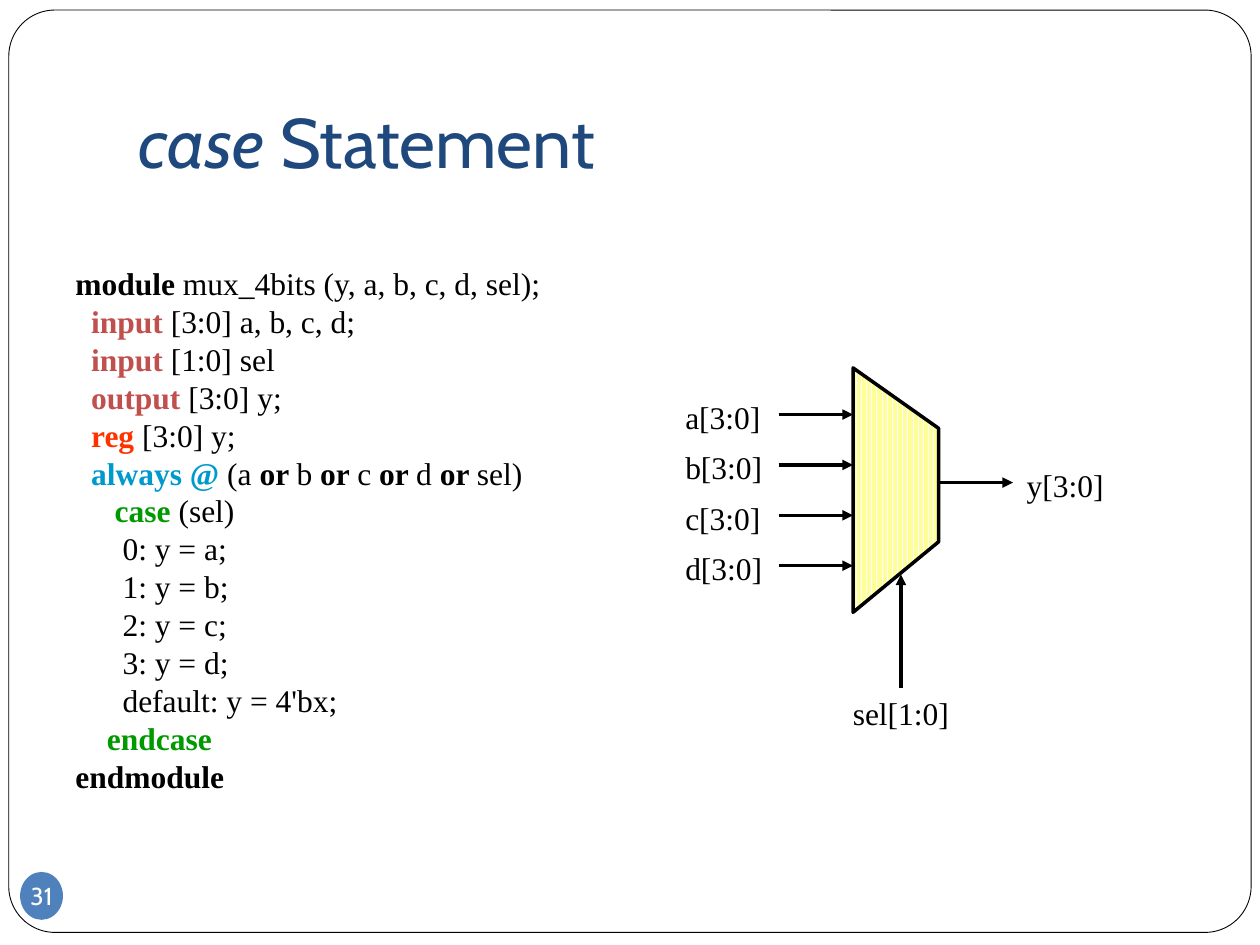
from itertools import groupby

from lxml.etree import SubElement
from pptx import Presentation
from pptx.dml.color import RGBColor
from pptx.enum.dml import MSO_PATTERN
from pptx.enum.shapes import MSO_CONNECTOR, MSO_SHAPE
from pptx.enum.text import MSO_ANCHOR, MSO_AUTO_SIZE, PP_ALIGN
from pptx.oxml.ns import qn
from pptx.util import Inches, Pt

CELL = Inches(0.1)  # the slide is a grid of 100 columns and 75 rows
HEADING_FONT, CODE_FONT = "Cabin", "Times New Roman"
BLACK, WHITE = "000000", "FFFFFF"

KEYWORDS = {
    "module": BLACK, "endmodule": BLACK, "or": BLACK,
    "input": "C0504D", "output": "C0504D", "reg": "FF3300",
    "always": "0099CC", "@": "0099CC",
    "case": "009900", "endcase": "009900",
}
CODE = """\
module mux_4bits (y, a, b, c, d, sel);
  input [3:0] a, b, c, d;
  input [1:0] sel
  output [3:0] y;
  reg [3:0] y;
  always @ (a or b or c or d or sel)
     case (sel)
      0: y = a;
      1: y = b;
      2: y = c;
      3: y = d;
      default: y = 4'bx;
    endcase
endmodule"""


def cells(*counts):
    """Turn counts of grid cells into lengths."""
    return [round(count * CELL) for count in counts]


def color(hex_string):
    return RGBColor.from_string(hex_string)


def style(font, name, size, hex_string, bold=False, italic=False):
    font.name, font.size = name, Pt(size)
    font.bold, font.italic = bold, italic
    font.color.rgb = color(hex_string)


def set_margins(frame, left, top, right, bottom):
    frame.margin_left, frame.margin_top, frame.margin_right, frame.margin_bottom = cells(
        left, top, right, bottom)


def add_frame(slide, box):
    frame = slide.shapes.add_shape(MSO_SHAPE.ROUNDED_RECTANGLE, *cells(*box))
    frame.adjustments[0] = 0.05
    frame.shadow.inherit = False
    frame.fill.solid()
    frame.fill.fore_color.rgb = color(WHITE)
    frame.line.color.rgb = color(BLACK)
    frame.line.width = Pt(0.5)
    slide.shapes.element.insert(2, frame.element)  # behind the title


def add_title(slide, box):
    title = slide.shapes.title
    title.left, title.top, title.width, title.height = cells(*box)
    frame = title.text_frame
    frame.vertical_anchor = MSO_ANCHOR.BOTTOM
    set_margins(frame, 1, 0.5, 1, 1)
    paragraph = frame.paragraphs[0]
    paragraph.alignment = PP_ALIGN.LEFT
    for text, italic in (("case", True), (" Statement", False)):
        run = paragraph.add_run()
        run.text = text
        style(run.font, HEADING_FONT, 40, "1F497D", italic=italic)


def add_page_number(slide, box, number):
    badge = slide.shapes.add_shape(MSO_SHAPE.OVAL, *cells(*box))
    badge.shadow.inherit = False
    badge.fill.solid()
    badge.fill.fore_color.rgb = color("4F81BD")
    badge.line.fill.background()
    frame = badge.text_frame
    frame.text = number
    frame.word_wrap = False
    frame.vertical_anchor = MSO_ANCHOR.MIDDLE
    set_margins(frame, 0, 0, 0, 0)
    frame.paragraphs[0].alignment = PP_ALIGN.CENTER
    style(frame.paragraphs[0].runs[0].font, HEADING_FONT, 14, WHITE)


def add_code(slide, box):
    """Place the listing, one paragraph a line, with bold coloured keywords."""
    frame = slide.shapes.add_textbox(*cells(*box)).text_frame
    frame.word_wrap = True
    set_margins(frame, 1, 3.45, 1, 0.5)
    for index, line in enumerate(CODE.split("\n")):
        paragraph = frame.paragraphs[0] if index == 0 else frame.add_paragraph()
        paragraph.line_spacing = Pt(21.65)
        properties = paragraph._p.get_or_add_pPr()
        properties.set("marL", str(Inches(0.96)))
        properties.set("indent", str(Inches(-0.46)))
        words = line.split(" ")
        pieces = [word + " " for word in words[:-1]] + words[-1:]
        for keyword_color, group in groupby(pieces, lambda piece: KEYWORDS.get(piece.strip())):
            run = paragraph.add_run()
            run.text = "".join(group)
            style(run.font, CODE_FONT, 18, keyword_color or BLACK, bold=keyword_color is not None)


def add_arrow(group, start, end):
    arrow = group.shapes.add_connector(MSO_CONNECTOR.STRAIGHT, *cells(*start, *end))
    arrow.line.color.rgb = color(BLACK)
    arrow.line.width = Pt(2)
    SubElement(arrow.line._get_or_add_ln(), qn("a:tailEnd"), type="triangle")
    SubElement(arrow.element.spPr, qn("a:effectLst"))


def add_label(group, text, left, top, width):
    frame = group.shapes.add_textbox(*cells(left, top, width, 4)).text_frame
    frame.text = text
    frame.word_wrap = False
    frame.auto_size = MSO_AUTO_SIZE.SHAPE_TO_FIT_TEXT
    style(frame.paragraphs[0].runs[0].font, CODE_FONT, 18, BLACK)


def add_multiplexer(slide, box):
    """Draw the body at the box, with its wires and labels around it."""
    left, top, width, height = box
    right, bottom = left + width, top + height
    wire, label_rise = 5.9, 1.8
    group = slide.shapes.add_group_shape()

    corners = [(left, top), (right, top + 4.8), (right, bottom - 5.6), (left, bottom)]
    points = [cells(*corner) for corner in corners]
    builder = group.shapes.build_freeform(*points[0])
    builder.add_line_segments(points[1:], close=True)
    body = builder.convert_to_shape()
    body.shadow.inherit = False
    body.fill.patterned()
    body.fill.pattern = MSO_PATTERN.DARK_VERTICAL
    body.fill.fore_color.rgb = color("FFFF99")
    body.fill.back_color.rgb = color(WHITE)
    body.line.color.rgb = color(BLACK)
    body.line.width = Pt(2)

    for index, name in enumerate("abcd"):
        row = top + 3.7 + 4 * index
        add_arrow(group, (left - wire, row), (left, row))
        add_label(group, f"{name}[3:0]", left - 14.3, row - label_rise, 8.9)

    row = top + 9.1
    add_arrow(group, (right, row), (right + wire, row))
    add_label(group, "y[3:0]", right + 6, row - label_rise, 8.8)

    column = left + 3.8
    add_arrow(group, (column, bottom + 6), (column, bottom - 3))
    add_label(group, "sel[1:0]", left - 1, bottom + 6, 10.6)


def main():
    presentation = Presentation()
    presentation.slide_width, presentation.slide_height = cells(100, 75)
    slide = presentation.slides.add_slide(presentation.slide_layouts[5])
    add_frame(slide, (0.7, 0.8, 98.6, 73.2))
    add_title(slide, (10, 3, 85, 12.5))
    add_page_number(slide, (1.6, 69.2, 3.4, 3.8), "31")
    add_multiplexer(slide, (67.7, 29.2, 6.8, 19.4))
    add_code(slide, (0, 17.5, 53.3, 60.7))
    presentation.save("out.pptx")


if __name__ == "__main__":
    main()
